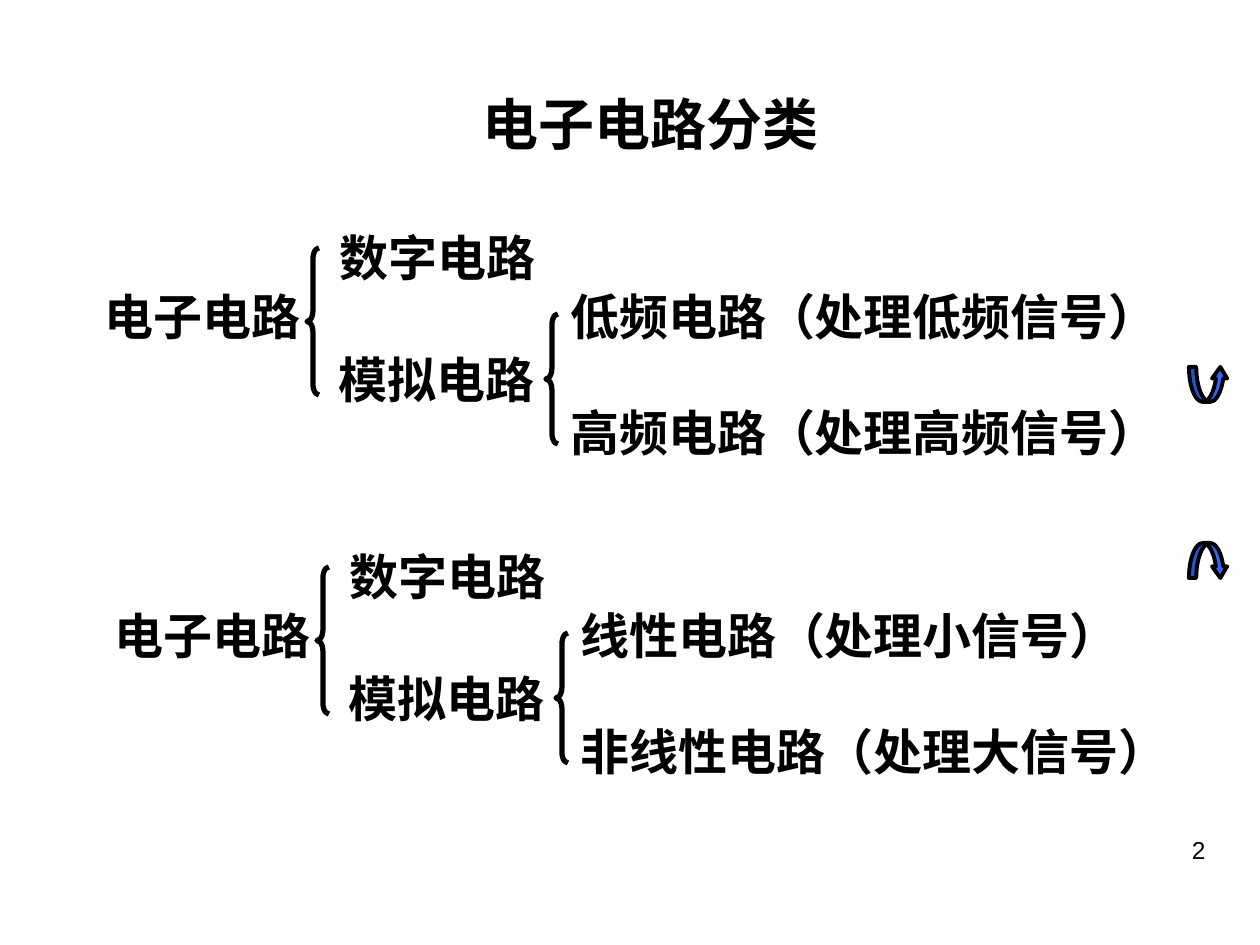
"""Build a slide that classifies electronic circuits in two brace diagrams."""
from pptx import Presentation
from pptx.dml.color import RGBColor
from pptx.enum.shapes import MSO_SHAPE as Shape
from pptx.enum.text import MSO_ANCHOR as Anchor, MSO_AUTO_SIZE as AutoSize, PP_ALIGN as Align
from pptx.util import Emu, Pt

PX = 914400 // 126
BLACK = "000000"
BLUE = "3366FF"


def color(value):
    return RGBColor.from_string(value)


def write(shape, box, text, size, font="Times New Roman", bold=True, align=Align.LEFT):
    shape.left, shape.top, shape.width, shape.height = [Emu(n * PX) for n in box]
    frame = shape.text_frame
    frame.text = text
    frame.word_wrap = True
    frame.auto_size = AutoSize.NONE
    frame.vertical_anchor = Anchor.TOP
    paragraph = frame.paragraphs[0]
    paragraph.alignment = align
    run_font = paragraph.runs[0].font
    run_font.name, run_font.size, run_font.bold = font, Pt(size), bold
    run_font.color.rgb = color(BLACK)


presentation = Presentation()
presentation.slide_width = Emu(1260 * PX)
presentation.slide_height = Emu(945 * PX)
slide = presentation.slides.add_slide(presentation.slide_layouts[5])
shapes = slide.shapes

write(shapes.title, (470, 83, 440, 81), "电子电路分类", 32)

label_places = [(92, 280, 227), (327, 221, 227), (326, 343, 227), (558, 280, 630), (558, 396, 630)]
brace_places = [(307, 248, 147), (546, 314, 130)]
diagrams = [
    (0, 0, ["电子电路", "数字电路", "模拟电路", "低频电路（处理低频信号）", "高频电路（处理高频信号）"]),
    (10, 319, ["电子电路", "数字电路", "模拟电路", "线性电路（处理小信号）", "非线性电路（处理大信号）"]),
]
for dx, dy, labels in diagrams:
    for text, (x, y, width) in zip(labels, label_places):
        write(shapes.add_textbox(0, 0, 0, 0), (x + dx, y + dy, width, 72), text, 28)
    for x, y, height in brace_places:
        brace = shapes.add_shape(
            Shape.LEFT_BRACE, (x + dx) * PX, (y + dy) * PX, 12 * PX, height * PX)
        brace.adjustments[0] = 0.9
        brace.shadow.inherit = False
        brace.fill.background()
        brace.line.color.rgb = color(BLACK)
        brace.line.width = Pt(3)

for kind, y in [(Shape.CURVED_UP_ARROW, 367), (Shape.CURVED_DOWN_ARROW, 543)]:
    arrow = shapes.add_shape(kind, 1189 * PX, y * PX, 39 * PX, 35 * PX)
    for index, value in enumerate((0.21, 0.43, 0.33)):
        arrow.adjustments[index] = value
    arrow.shadow.inherit = False
    arrow.fill.solid()
    arrow.fill.fore_color.rgb = color(BLUE)
    arrow.line.color.rgb = color(BLACK)
    arrow.line.width = Pt(2.25)

write(shapes.add_textbox(0, 0, 0, 0), (903, 829, 315, 66), "2", 14, "Arial", False, Align.RIGHT)

presentation.save("out.pptx")
